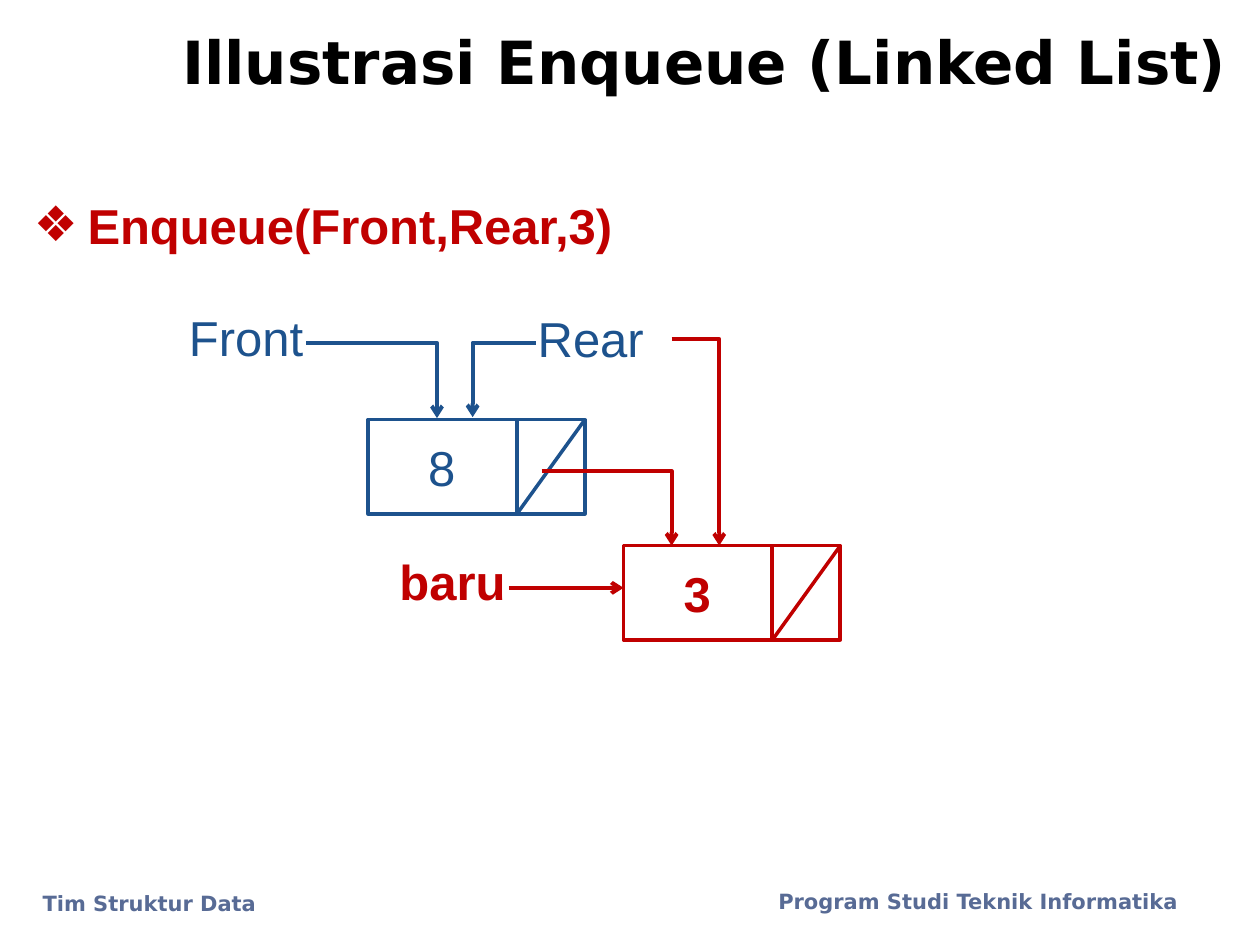
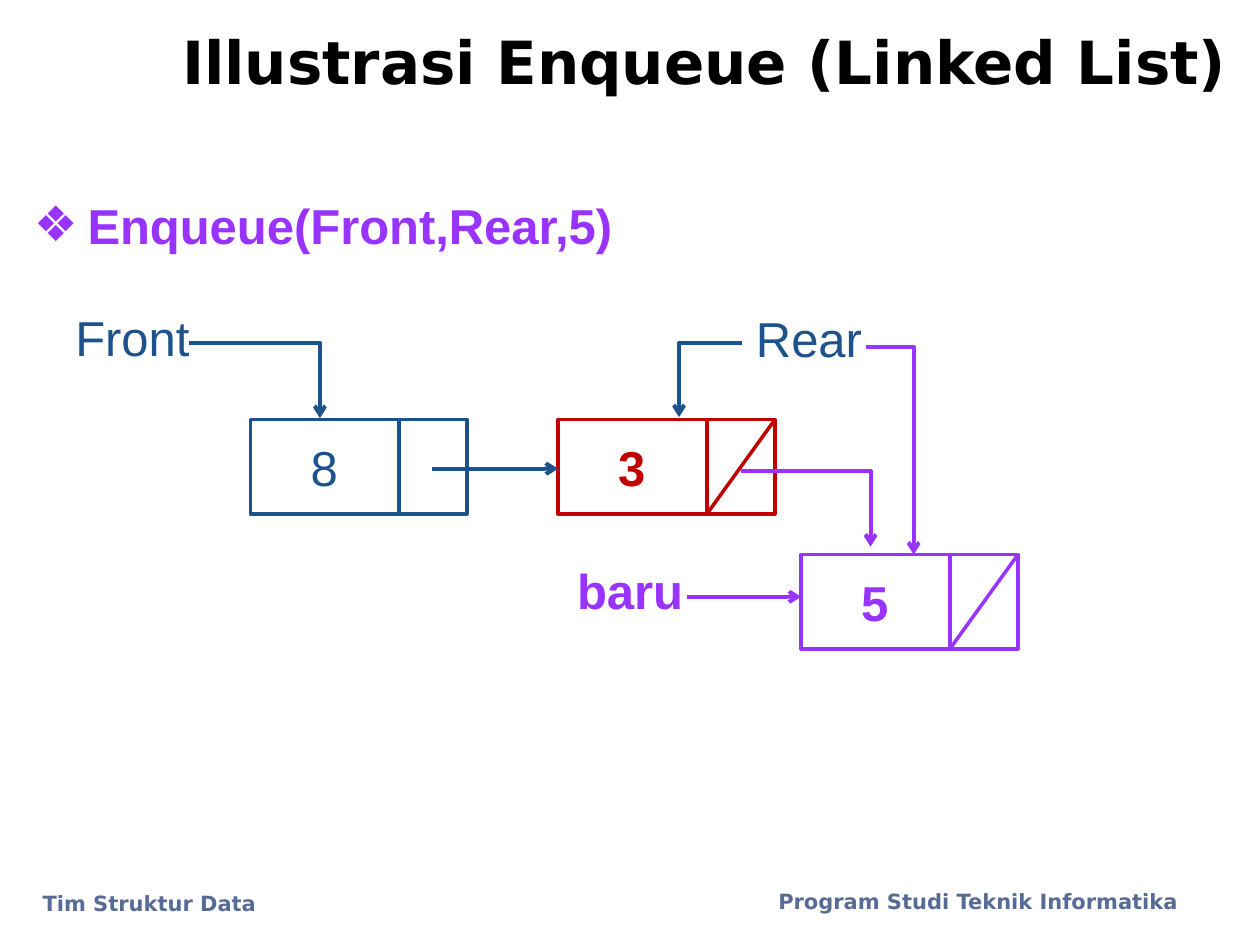
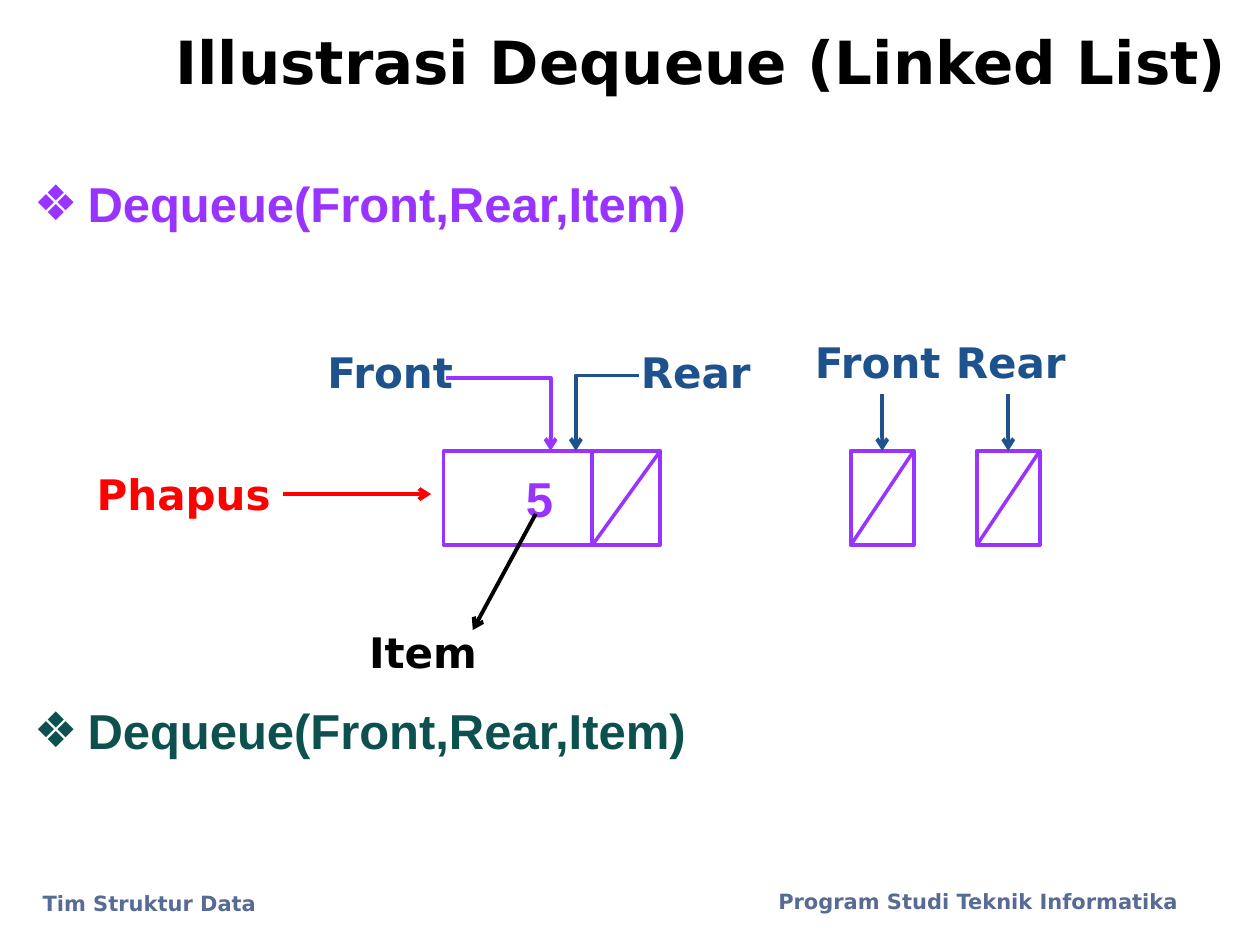
"""Build the three linked-list queue slides (enqueue twice, then dequeue)."""
from lxml import etree
from pptx import Presentation
from pptx import util as u
from pptx.dml.color import RGBColor
from pptx.enum import shapes, text
from pptx.oxml import ns

BLACK = RGBColor(0x00, 0x00, 0x00)
WHITE = RGBColor(0xFF, 0xFF, 0xFF)
BLUE = RGBColor(0x1D, 0x52, 0x8D)
DARK_RED = RGBColor(0xC0, 0x00, 0x00)
RED = RGBColor(0xFF, 0x00, 0x00)
VIOLET = RGBColor(0x99, 0x33, 0xFF)
GREEN = RGBColor(0x0C, 0x51, 0x4E)
SLATE = RGBColor(0x58, 0x6B, 0x95)

TITLE = {"name": "DejaVu Sans", "size": u.Pt(34), "bold": True}
BULLET = {"name": "Arial", "size": u.Pt(28), "bold": True}
PLAIN = {"name": "Arial", "size": u.Pt(28), "bold": False}
LABEL = {"name": "DejaVu Sans", "size": u.Pt(24), "bold": True}
FOOTER = {"name": "DejaVu Sans", "size": u.Pt(12), "bold": True}

LEFT, RIGHT = text.PP_ALIGN.LEFT, text.PP_ALIGN.RIGHT
NODE_W, NODE_H, DATA_W = 4.37, 1.9, 3.0
CELL_W = 1.27
FOOTERS = [("Tim Struktur Data", 0.61, 17.83), ("Program Studi Teknik Informatika", 15.44, 17.78)]


class Deck:
    """Holds the style and the current slide, and draws each kind of element."""

    def __init__(self):
        self.prs = Presentation()
        self.prs.slide_width, self.prs.slide_height = u.Cm(25.4), u.Cm(19.05)
        self.s = None

    def slide(self, title, bullets):
        layout = self.prs.slide_layouts[1 if len(bullets) == 1 else 3]
        self.s = self.prs.slides.add_slide(layout)
        sp = self.s.shapes.title
        self.place(sp, 2.12, 0.43, 22.86, 1.57)
        self.fill_text(sp, title, TITLE, BLACK, RIGHT)
        sp.text_frame.vertical_anchor = text.MSO_ANCHOR.MIDDLE
        bodies = [ph for ph in self.s.placeholders if ph.placeholder_format.idx > 0]
        for sp, (words, y, color) in zip(bodies, bullets):
            self.place(sp, 0.43, y, 14.17, 1.45)
            self.bullet(self.fill_text(sp, words, BULLET, color))
        for words, x, y in FOOTERS:
            self.label(words, x, y, SLATE, FOOTER, w=9.3)

    def place(self, sp, x, y, w, h):
        for key, value in {"left": x, "top": y, "width": w, "height": h}.items():
            setattr(sp, key, u.Cm(value))

    def fill_text(self, sp, words, style, color, align=LEFT):
        tf = sp.text_frame
        tf.word_wrap, tf.auto_size = True, text.MSO_AUTO_SIZE.NONE
        p = tf.paragraphs[0]
        p.alignment, p.space_before = align, u.Pt(0)
        r = p.add_run()
        r.text = words
        for key, value in style.items():
            setattr(r.font, key, value)
        r.font.color.rgb = color
        return p

    def bullet(self, p):
        pPr = p._p.get_or_add_pPr()
        pPr.set("marL", str(u.Cm(1.08)))
        pPr.set("indent", str(-u.Cm(1.08)))
        etree.SubElement(pPr, ns.qn("a:buFont")).set("typeface", "Arial")
        etree.SubElement(pPr, ns.qn("a:buChar")).set("char", "❖")

    def label(self, words, x, y, color, style=PLAIN, align=LEFT, w=3.2):
        sp = self.s.shapes.add_textbox(u.Cm(x), u.Cm(y), u.Cm(w), u.Cm(1.4))
        self.fill_text(sp, words, style, color, align)

    def box(self, x, y, w, color, weight=2):
        sp = self.s.shapes.add_shape(shapes.MSO_SHAPE.RECTANGLE, u.Cm(x), u.Cm(y), u.Cm(w), u.Cm(NODE_H))
        sp.shadow.inherit = False
        sp.fill.solid()
        sp.fill.fore_color.rgb = WHITE
        sp.line.color.rgb, sp.line.width = color, u.Pt(weight)

    def line(self, start, end, color, weight=2.25, arrow=False, bent=False):
        kind = shapes.MSO_CONNECTOR.ELBOW if bent else shapes.MSO_CONNECTOR.STRAIGHT
        cxn = self.s.shapes.add_connector(kind, *(u.Cm(v) for v in (*start, *end)))
        cxn.line.color.rgb, cxn.line.width = color, u.Pt(weight)
        spPr = cxn.element.spPr
        if bent:
            spPr.find(ns.qn("a:prstGeom")).set("prst", "bentConnector2")
        if arrow:
            etree.SubElement(spPr.find(ns.qn("a:ln")), ns.qn("a:tailEnd")).set("type", "arrow")
        etree.SubElement(spPr, ns.qn("a:effectLst"))

    def arrow(self, start, end, color):
        self.line(start, end, color, arrow=True)

    def elbow(self, start, end, color):
        self.line(start, end, color, arrow=True, bent=True)

    def node(self, value, x, y, color, style=BULLET, null=True, value_dx=0.41):
        self.box(x, y, NODE_W, color)
        self.line((x + DATA_W, y), (x + DATA_W, y + NODE_H), color)
        if null:
            self.line((x + NODE_W, y), (x + DATA_W, y + NODE_H), color, 2)
        self.label(value, x + value_dx, y + 0.24, color, style, RIGHT, 1.6)

    def new_node(self, value, x, y, color):
        self.node(value, x, y, color)
        self.label("baru", x - 5.33, y, color, BULLET, RIGHT)
        self.arrow((x - 2.31, y + 0.85), (x, y + 0.85), color)

    def null_pointer(self, name, x, y, label_x):
        self.label(name, label_x, 6.66, BLUE, LABEL)
        self.box(x, y, CELL_W, VIOLET, 2.25)
        self.line((x + CELL_W, y), (x, y + NODE_H), VIOLET, 2)
        self.arrow((x + CELL_W / 2, y - 1.15), (x + CELL_W / 2, y), BLUE)


def main():
    d = Deck()

    d.slide("Illustrasi Enqueue (Linked List)", [("Enqueue(Front,Rear,3)", 3.81, DARK_RED)])
    d.new_node("3", 12.57, 11, DARK_RED)
    d.node("8", 7.42, 8.46, BLUE, PLAIN)
    d.label("Front", 3.56, 6.07, BLUE)
    d.elbow((6.17, 6.91), (8.81, 8.43), BLUE)
    d.label("Rear", 10.59, 6.1, BLUE)
    d.elbow((10.8, 6.91), (9.53, 8.41), BLUE)
    d.elbow((10.92, 9.5), (13.54, 11), DARK_RED)
    d.elbow((13.54, 6.83), (14.5, 11), DARK_RED)

    d.slide("Illustrasi Enqueue (Linked List)", [("Enqueue(Front,Rear,5)", 3.81, VIOLET)])
    d.new_node("5", 16.15, 11.18, VIOLET)
    d.node("8", 5.05, 8.46, BLUE, PLAIN, null=False)
    d.node("3", 11.25, 8.46, DARK_RED)
    d.label("Front", 1.27, 6.07, BLUE)
    d.elbow((3.81, 6.91), (6.45, 8.43), BLUE)
    d.label("Rear", 14.99, 6.1, BLUE)
    d.elbow((14.96, 6.91), (13.69, 8.41), BLUE)
    d.arrow((8.71, 9.45), (11.25, 9.45), BLUE)
    d.elbow((14.94, 9.5), (17.55, 11.02), VIOLET)
    d.elbow((17.45, 6.99), (18.42, 11.18), VIOLET)

    d.slide("Illustrasi Dequeue (Linked List)",
            [("Dequeue(Front,Rear,Item)", 3.38, VIOLET), ("Dequeue(Front,Rear,Item)", 14, GREEN)])
    d.node("5", 8.94, 9.09, VIOLET, value_dx=0.86)
    d.label("Front", 6.35, 6.86, BLUE, LABEL)
    d.elbow((8.99, 7.62), (11.1, 9.09), VIOLET)
    d.label("Rear", 12.67, 6.86, BLUE, LABEL)
    d.elbow((12.88, 7.57), (11.61, 9.09), BLUE)
    d.label("Phapus", 1.7, 9.32, RED, LABEL, w=4.1)
    d.arrow((5.71, 9.96), (8.69, 9.96), RED)
    d.label("Item", 7.19, 12.5, BLACK, LABEL)
    d.arrow((10.8, 10.36), (9.53, 12.7), BLACK)
    d.null_pointer("Front", 17.15, 9.09, 16.18)
    d.null_pointer("Rear", 19.69, 9.09, 19.02)

    d.prs.save("out.pptx")


if __name__ == "__main__":
    main()
